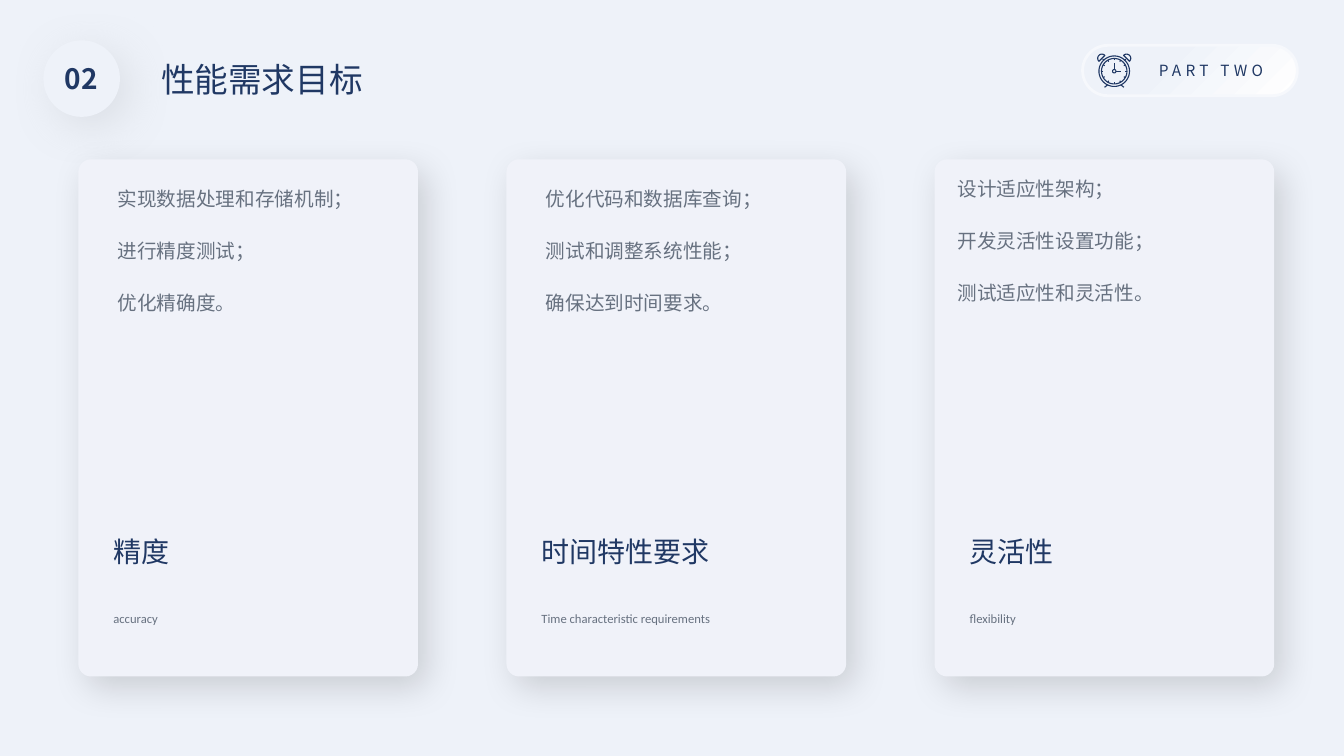
from math import cos, pi, sin

from lxml import etree
from pptx import Presentation
from pptx.dml.color import RGBColor
from pptx.enum.shapes import MSO_SHAPE
from pptx.enum.text import PP_ALIGN
from pptx.oxml.ns import qn
from pptx.util import Pt

RECTANGLE = MSO_SHAPE.RECTANGLE
ROUNDED = MSO_SHAPE.ROUNDED_RECTANGLE
OVAL = MSO_SHAPE.OVAL
LEFT, CENTER = PP_ALIGN.LEFT, PP_ALIGN.CENTER
CJK, LATIN = "Noto Sans CJK SC", "Calibri"

COLORS = {
    "page": "EEF2F9",
    "card": "F0F2F9",
    "navy": "203864",
    "gray": "677180",
    "white": "FFFFFF",
    "pill_edge": "F6F8FC",
    "badge_shadow": "CACED4",
    "card_shadow": "000000",
}


def add_panel(kind, left, top, width, height, color, shadow=None):
    panel = page.shapes.add_shape(kind, Pt(left), Pt(top), Pt(width), Pt(height))
    panel.shadow.inherit = False
    panel.fill.solid()
    panel.fill.fore_color.rgb = RGBColor.from_string(COLORS[color])
    panel.line.fill.background()
    if shadow:
        name, alpha, blur, distance, angle = shadow
        effects = panel._element.spPr.find(qn("a:effectLst"))
        outer = etree.SubElement(
            effects, qn("a:outerShdw"), blurRad=str(Pt(blur)), dist=str(Pt(distance)),
            dir=str(angle * 60000), algn="tl", rotWithShape="0")
        tint = etree.SubElement(outer, qn("a:srgbClr"), val=COLORS[name])
        etree.SubElement(tint, qn("a:alpha"), val=str(alpha * 1000))
    return panel


def add_text(text, left, top, width, height, size, color, font=CJK, align=LEFT,
             inset=(7.2, 3.6), wrap=True, spacing=1.0, gap=0):
    box = page.shapes.add_textbox(Pt(left), Pt(top), Pt(width), Pt(height))
    frame = box.text_frame
    frame.word_wrap = wrap
    frame.margin_left = frame.margin_right = Pt(inset[0])
    frame.margin_top = frame.margin_bottom = Pt(inset[1])
    frame.text = text
    for index, para in enumerate(frame.paragraphs):
        para.alignment = align
        para.line_spacing = spacing
        para.space_before = Pt(gap if index else 0)
        for span in para.runs:
            span.font.size = Pt(size)
            span.font.name = font
            span.font.color.rgb = RGBColor.from_string(COLORS[color])
            etree.SubElement(span.font._element, qn("a:ea"), typeface=font)
    return box


deck = Presentation()
deck.slide_width, deck.slide_height = Pt(960), Pt(540)
page = deck.slides.add_slide(deck.slide_layouts[6])

add_panel(RECTANGLE, 0, 0, 960, 540, "page")

pill = add_panel(ROUNDED, 773.3, 32.4, 153.4, 36, "page")
pill.adjustments[0] = 0.5
pill.fill.gradient()
pill.fill.gradient_angle = 315
for stop, position, color in zip(pill.fill.gradient_stops, (0.35, 1), ("page", "white")):
    stop.position = position
    stop.color.rgb = RGBColor.from_string(COLORS[color])
pill.line.color.rgb = RGBColor.from_string(COLORS["pill_edge"])
pill.line.width = Pt(2)

clock_x, clock_y = 795.9, 50.9
strokes = []
for radius in (10.9, 9.1, 1.2):
    strokes.append([(radius * cos(step * pi / 24), radius * sin(step * pi / 24))
                    for step in range(49)])
for hour in range(12):
    angle = hour * pi / 6
    strokes.append([(radius * cos(angle), radius * sin(angle)) for radius in (7.9, 9.1)])
strokes += [[(0, -1.2), (0, -6)], [(1.2, 0), (4.8, 0)]]
for side in (-1, 1):
    bell = [(side * (8.8 + 3 * cos(step * pi / 12 - pi / 4)),
             -9.2 + 3 * sin(step * pi / 12 - 3 * pi / 4 + pi / 2))
            for step in range(-6, 7)]
    bell = [(side * (8.8 + 3 * cos(-pi / 4 + step * pi / 12)),
             -9.2 + 3 * sin(-pi / 4 + step * pi / 12)) for step in range(-6, 7)]
    strokes.append(bell + bell[:1])
    strokes.append([(side * 7.2, -7.6), (side * 8.2, -8.6)])
    strokes.append([(side * 4.8, 9.8), (side * 6.9, 11.5)])

outline = None
for stroke in strokes:
    points = [((clock_x + x) * 100, (clock_y + y) * 100) for x, y in stroke]
    if outline is None:
        outline = page.shapes.build_freeform(*points[0], scale=Pt(1) / 100)
    else:
        outline.move_to(*points[0])
    outline.add_line_segments(points[1:], close=False)
clock = outline.convert_to_shape()
clock.shadow.inherit = False
clock.fill.background()
clock.line.color.rgb = RGBColor.from_string(COLORS["navy"])
clock.line.width = Pt(0.8)

part = add_text("PART TWO", 807.8, 40.3, 114.5, 20.9, 11, "navy", align=CENTER)
part.text_frame.paragraphs[0].runs[0].font._element.set("spc", "300")

add_panel(OVAL, 31, 28.8, 54.7, 54.7, "page", ("badge_shadow", 50, 30, 10, 45))
number = add_text("02", 45.4, 40.3, 25.2, 31.7, 20, "navy", align=CENTER,
                  inset=(0, 3.6), wrap=False)
number.text_frame.paragraphs[0].runs[0].font.bold = True
add_text("性能需求目标", 108, 38.2, 276.5, 36, 24, "navy")

cards = [
    ("精度", "accuracy", "实现数据处理和存储机制；\n进行精度测试；\n优化精确度。",
     21, 130.3, 200),
    ("时间特性要求", "Time characteristic requirements",
     "优化代码和数据库查询；\n测试和调整系统性能；\n确保达到时间要求。", 21, 130.3, 200),
    ("灵活性", "flexibility", "设计适应性架构；\n开发灵活性设置功能；\n测试适应性和灵活性。",
     9.2, 123.1, 224.6),
]
for column, (title, english, tasks, indent, top, width) in enumerate(cards):
    left = 56 + 305.8 * column
    card = add_panel(ROUNDED, left, 113.8, 242.6, 369.4, "card",
                     ("card_shadow", 15, 25, 10, 55))
    card.adjustments[0] = 0.037
    add_text(title, left + 25, 381.5, 140, 27, 20, "navy", inset=(0, 0), wrap=False)
    add_text(english, left + 25, 430.6, 122, 31, 9, "gray", font=LATIN,
             inset=(0, 0), wrap=False, spacing=1.5)
    add_text(tasks, left + indent, top, width, 107.3, 14, "gray", gap=20.2)

deck.save("out.pptx")
